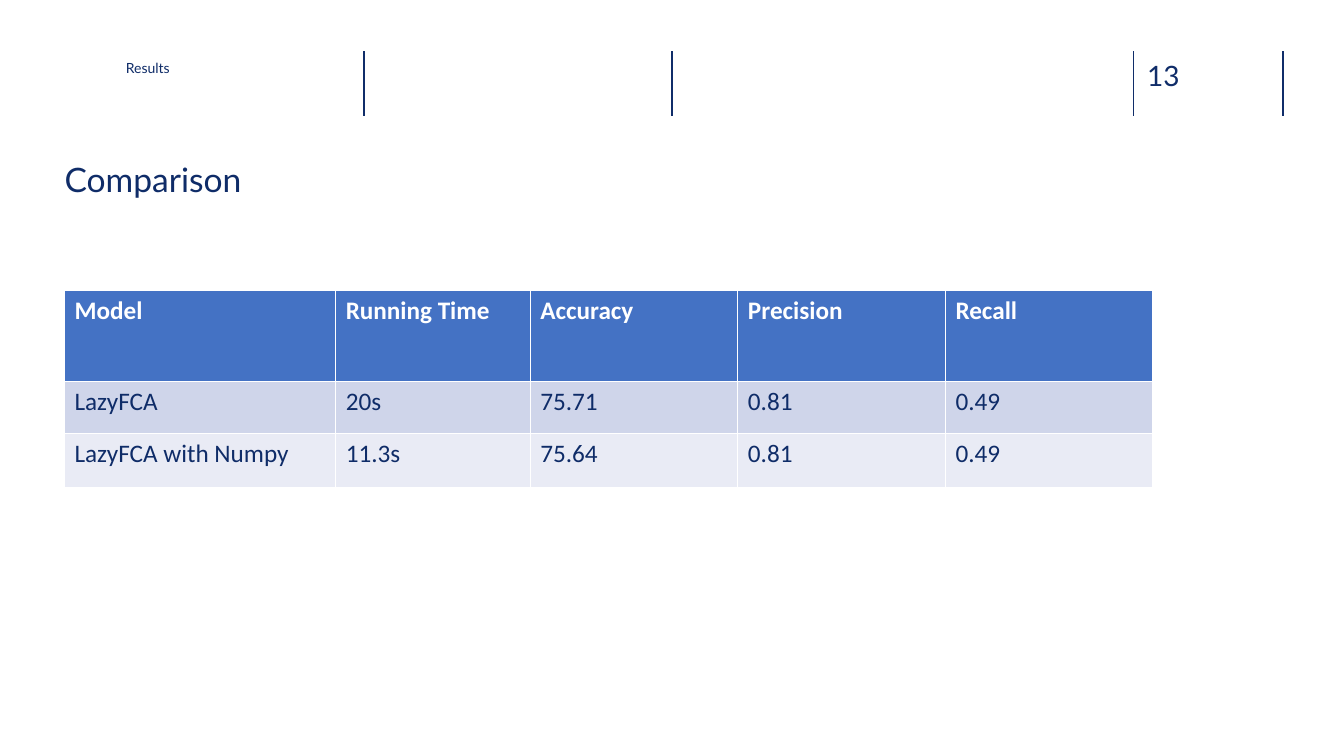
import pptx
import pptx.dml.color
import pptx.enum.shapes
import pptx.enum.text
import pptx.util
from lxml import etree

Pt = pptx.util.Pt
COLORS = {
    "navy": "0F2C68",
    "rule": "102D69",
    "header": "4472C4",
    "band_dark": "CFD5EA",
    "band_light": "E9EBF5",
    "white": "FFFFFF",
}


def rgb(name):
    return pptx.dml.color.RGBColor.from_string(COLORS[name])


def write_text(frame, text, size, color, font):
    """Fill a frame with one left-aligned paragraph, without margins, from the top."""
    frame.margin_left = frame.margin_right = frame.margin_top = frame.margin_bottom = 0
    frame.word_wrap = True
    frame.auto_size = pptx.enum.text.MSO_AUTO_SIZE.NONE
    frame.vertical_anchor = pptx.enum.text.MSO_ANCHOR.TOP
    frame.text = text
    paragraph = frame.paragraphs[0]
    paragraph.alignment = pptx.enum.text.PP_ALIGN.LEFT
    paragraph.font.size = Pt(size)
    paragraph.font.name = font
    paragraph.font.color.rgb = rgb(color)


presentation = pptx.Presentation()
presentation.slide_width = Pt(960)
presentation.slide_height = Pt(540)
slide = presentation.slides.add_slide(presentation.slide_layouts[5])

# Header strip
for x in (260, 480, 809.5, 916.5):
    divider = slide.shapes.add_connector(
        pptx.enum.shapes.MSO_CONNECTOR.STRAIGHT, Pt(x), Pt(36.7), Pt(x), Pt(82.8))
    divider.line.color.rgb = rgb("rule")
    divider.line.width = Pt(1)
    etree.SubElement(divider.element.spPr, pptx.oxml.ns.qn("a:effectLst"))

section = slide.shapes.add_textbox(Pt(90), Pt(42.5), Pt(150), Pt(32.4))
write_text(section.text_frame, "Results", 10, "navy", "Lato")
page_number = slide.shapes.add_textbox(Pt(819.4), Pt(41.8), Pt(52.6), Pt(24.5))
write_text(page_number.text_frame, "13", 20, "rule", "Lato")

# Title
title = slide.shapes.title
title.left, title.top, title.width, title.height = Pt(46.1), Pt(113.8), Pt(610), Pt(61.2)
write_text(title.text_frame, "Comparison", 24, "navy", "Lato")

# Comparison of the models
results = [
    ("Model", "Running Time", "Accuracy", "Precision", "Recall"),
    ("LazyFCA", "20s", "75.71", "0.81", "0.49"),
    ("LazyFCA with Numpy", "11.3s", "75.64", "0.81", "0.49"),
]
column_widths = [193.7, 139, 148.3, 148.3, 148.3]
row_heights = [64.8, 37.4, 38.9]
row_colors = [("header", "white"), ("band_dark", "navy"), ("band_light", "navy")]

comparison = slide.shapes.add_table(
    len(results), len(column_widths), Pt(46.1), Pt(207.4),
    Pt(sum(column_widths)), Pt(sum(row_heights))).table
for column, width in zip(comparison.columns, column_widths):
    column.width = Pt(width)
for row, height, values, (fill, ink) in zip(comparison.rows, row_heights, results, row_colors):
    row.height = Pt(height)
    for cell, value in zip(row.cells, values):
        cell.fill.solid()
        cell.fill.fore_color.rgb = rgb(fill)
        cell.text = value
        font = cell.text_frame.paragraphs[0].font
        font.name = "Calibri"
        font.size = Pt(18)
        font.bold = fill == "header"
        font.color.rgb = rgb(ink)

presentation.save("out.pptx")
